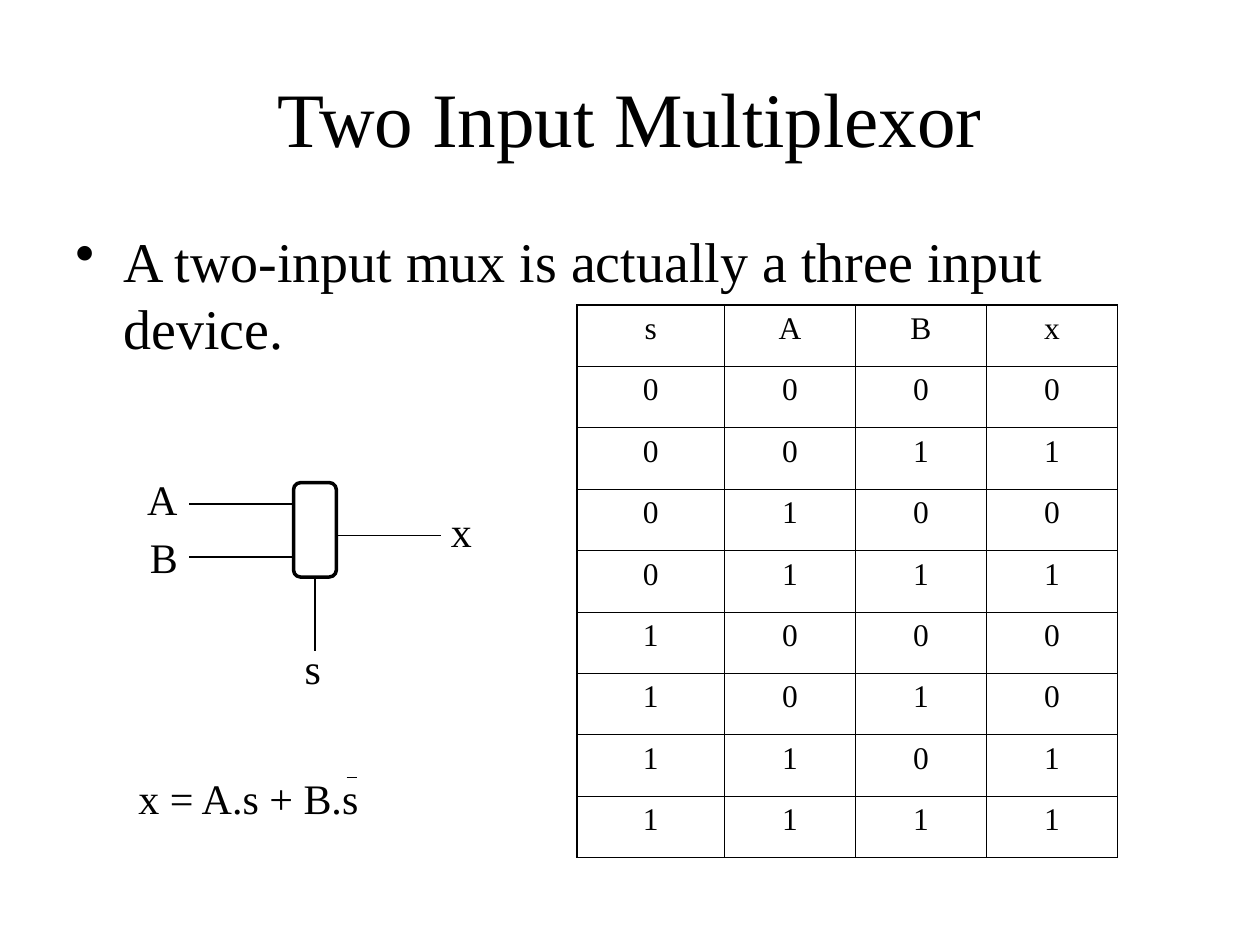
import pptx
import pptx.util
import pptx.dml.color
import pptx.enum.shapes
import pptx.enum.text
import pptx.oxml.ns
import lxml.etree

TITLE = "Two Input Multiplexor"
BULLET = "A two-input mux is actually a three input device."
FORMULA = "x = A.s + B.s"
HEADERS = ["s", "A", "B", "x"]
INPUT_ROWS = [(s, a, b) for s in (0, 1) for a in (0, 1) for b in (0, 1)]
TRUTH_TABLE = [HEADERS] + [[s, a, b, a if s else b] for s, a, b in INPUT_ROWS]

FONT = "Times New Roman"
BLACK = "000000"
MUX = (2.33, 3.83, 0.34, 0.75)
MUX_RIGHT, MUX_BOTTOM = MUX[0] + MUX[2], MUX[1] + MUX[3]
MUX_CENTER = MUX[0] + MUX[2] / 2
WIRE = 0.83
WIRES = [
    (MUX_RIGHT, 4.25, MUX_RIGHT + WIRE, 4.25),
    (MUX[0] - WIRE, 4, MUX[0], 4),
    (MUX[0] - WIRE, 4.42, MUX[0], 4.42),
    (MUX_CENTER, MUX_BOTTOM, MUX_CENTER, 5.17),
]
NEGATION_BAR = (2.75, 6.17, 2.83, 6.17)
LABELS = [
    ("A", (1.07, 3.71, 0.44, 0.5)),
    ("B", (1.09, 4.17, 0.42, 0.5)),
    ("x", (3.48, 3.96, 0.36, 0.5)),
    ("s", (2.32, 5.05, 0.33, 0.5)),
]
TABLE_LEFT, TABLE_TOP = 4.58, 2.42
COLUMN_WIDTHS = [1.17, 1.04, 1.04, 1.04]
ROW_HEIGHT = 4.39 / len(TRUTH_TABLE)
OUTER_LINE, INNER_LINE = 1.08, 0.45


def color(value):
    return pptx.dml.color.RGBColor.from_string(value)


def inches(values):
    return [pptx.util.Inches(value) for value in values]


def write(paragraph, text, size, alignment=pptx.enum.text.PP_ALIGN.LEFT):
    paragraph.alignment = alignment
    run = paragraph.add_run()
    run.text = str(text)
    run.font.name = FONT
    run.font.size = pptx.util.Pt(size)
    run.font.color.rgb = color(BLACK)


def add_text(slide, text, box, size, wrap=True):
    frame = slide.shapes.add_textbox(*inches(box)).text_frame
    frame.word_wrap = wrap
    write(frame.paragraphs[0], text, size)
    return frame.paragraphs[0]


def add_bullet(paragraph, indent):
    properties = paragraph._p.get_or_add_pPr()
    properties.set("marL", str(pptx.util.Inches(indent)))
    properties.set("indent", str(-pptx.util.Inches(indent)))
    bullet = lxml.etree.SubElement(properties, pptx.oxml.ns.qn("a:buChar"))
    bullet.set("char", "•")


def add_wire(slide, ends):
    wire = slide.shapes.add_connector(
        pptx.enum.shapes.MSO_CONNECTOR.STRAIGHT, *inches(ends))
    wire.line.color.rgb = color(BLACK)
    wire.line.width = pptx.util.Pt(1)
    lxml.etree.SubElement(wire._element.spPr, pptx.oxml.ns.qn("a:effectLst"))


def add_mux(slide):
    mux = slide.shapes.add_shape(
        pptx.enum.shapes.MSO_SHAPE.ROUNDED_RECTANGLE, *inches(MUX))
    mux.shadow.inherit = False
    mux.fill.background()
    mux.line.color.rgb = color(BLACK)
    mux.line.width = pptx.util.Pt(2)


def set_borders(cell, widths):
    """Draw the left, right, top and bottom borders, with widths in points."""
    properties = cell._tc.get_or_add_tcPr()
    for index, (side, width) in enumerate(zip("LRTB", widths)):
        line = lxml.etree.Element(pptx.oxml.ns.qn("a:ln" + side))
        line.set("w", str(pptx.util.Pt(width)))
        fill = lxml.etree.SubElement(line, pptx.oxml.ns.qn("a:solidFill"))
        lxml.etree.SubElement(fill, pptx.oxml.ns.qn("a:srgbClr")).set("val", BLACK)
        properties.insert(index, line)


def add_truth_table(slide):
    row_count, column_count = len(TRUTH_TABLE), len(HEADERS)
    box = (TABLE_LEFT, TABLE_TOP, sum(COLUMN_WIDTHS), ROW_HEIGHT * row_count)
    table = slide.shapes.add_table(row_count, column_count, *inches(box)).table
    table.first_row = table.horz_banding = False
    for column, width in zip(table.columns, COLUMN_WIDTHS):
        column.width = pptx.util.Inches(width)
    for r, values in enumerate(TRUTH_TABLE):
        table.rows[r].height = pptx.util.Inches(ROW_HEIGHT)
        for c, value in enumerate(values):
            cell = table.cell(r, c)
            cell.fill.background()
            write(cell.text_frame.paragraphs[0], value, 18,
                  pptx.enum.text.PP_ALIGN.CENTER)
            on_edge = (c == 0, c == column_count - 1, r == 0, r == row_count - 1)
            set_borders(cell, [OUTER_LINE if edge else INNER_LINE for edge in on_edge])


def main():
    presentation = pptx.Presentation()
    presentation.slide_width, presentation.slide_height = inches((10, 7.5))
    slide = presentation.slides.add_slide(presentation.slide_layouts[5])

    title = slide.shapes.title
    title.left, title.top, title.width, title.height = inches((0.5, 0.3, 9, 1.25))
    title.text_frame.vertical_anchor = pptx.enum.text.MSO_ANCHOR.MIDDLE
    write(title.text_frame.paragraphs[0], TITLE, 44, pptx.enum.text.PP_ALIGN.CENTER)

    add_bullet(add_text(slide, BULLET, (0.5, 1.75, 9, 4.95), 32), 0.38)
    add_mux(slide)
    for ends in WIRES:
        add_wire(slide, ends)
    for text, box in LABELS:
        add_text(slide, text, box, 24, wrap=False)
    add_truth_table(slide)
    add_text(slide, FORMULA, (1, 6.08, 2.83, 0.5), 24)
    add_wire(slide, NEGATION_BAR)
    presentation.save("out.pptx")


if __name__ == "__main__":
    main()
